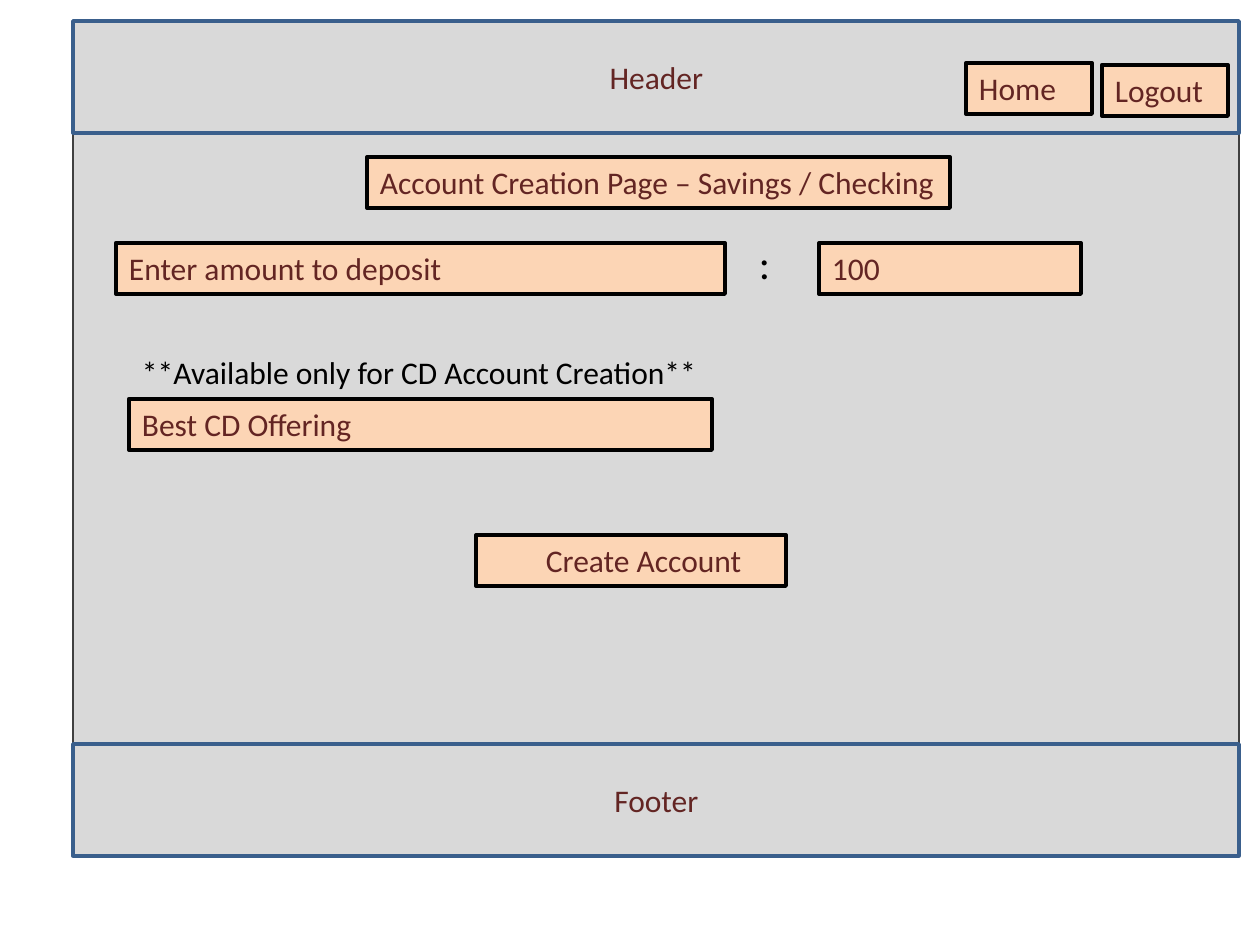
from pptx import Presentation
from pptx import util as u
from pptx.dml.color import RGBColor
from pptx.enum import shapes, text

PX = 914400 // 126
INSET = 13
FIELD_H = 51
COLORS = {
    "panel": "D9D9D9", "panel_edge": "404040", "band_edge": "3A5F8C",
    "field": "FCD5B5", "ink": "000000", "label": "632523",
}

# Content: page frame, then (wording, left, top, width) in pixels
PAGE_LEFT, PAGE_WIDTH = 73, 1166
body = (132, 723)
BAND_H = 112
bands = [("Header", 21), ("Footer", 744)]
fields = [
    ("100", 819, 243, 262),
    ("Enter amount to deposit", 116, 243, 609),
    ("Logout", 1102, 65, 126),
    ("Home", 966, 63, 126),
    ("Create Account", 476, 535, 310),
    ("Account Creation Page – Savings / Checking", 367, 157, 583),
    ("Best CD Offering", 129, 399, 583),
]
indents = {"Create Account": 57}
# (wording, left, top, width, height, size)
notes = [
    (":", 746, 231, 47, 63, 24),
    ("**Available only for CD Account Creation**", 129, 347, 640, 51, 18),
]

deck = Presentation()
deck.slide_width, deck.slide_height = u.Inches(10), u.Inches(7.5)
page = deck.slides.add_slide(deck.slide_layouts[6])


def color(name):
    return RGBColor.from_string(COLORS[name])


def add_box(left, top, width, height, fill, edge, weight):
    box = page.shapes.add_shape(
        shapes.MSO_SHAPE.RECTANGLE, *(n * PX for n in (left, top, width, height)))
    box.shadow.inherit = False
    box.fill.solid()
    box.fill.fore_color.rgb = color(fill)
    box.line.color.rgb = color(edge)
    box.line.width = u.Pt(weight)
    return box


def write(holder, wording, ink="label", size=18, centred=False, indent=0):
    frame = holder.text_frame
    frame.word_wrap = True
    frame.margin_left = (INSET + indent) * PX
    frame.vertical_anchor = text.MSO_ANCHOR.MIDDLE if centred else text.MSO_ANCHOR.TOP
    line = frame.paragraphs[0]
    line.alignment = text.PP_ALIGN.CENTER if centred else text.PP_ALIGN.LEFT
    run = line.add_run()
    run.text = wording
    run.font.name = "Calibri"
    run.font.size = u.Pt(size)
    run.font.color.rgb = color(ink)


# Page body with header and footer bands
add_box(PAGE_LEFT, body[0], PAGE_WIDTH, body[1], "panel", "panel_edge", 1)
for wording, top in bands:
    band = add_box(PAGE_LEFT, top, PAGE_WIDTH, BAND_H, "panel", "band_edge", 2)
    write(band, wording, centred=True)

# Fields and buttons
for wording, left, top, width in fields:
    field = add_box(left, top, width, FIELD_H, "field", "ink", 2.25)
    write(field, wording, indent=indents.get(wording, 0))

# Plain text
for wording, left, top, width, height, size in notes:
    note = page.shapes.add_textbox(*(n * PX for n in (left, top, width, height)))
    write(note, wording, "ink", size)

deck.save("out.pptx")
